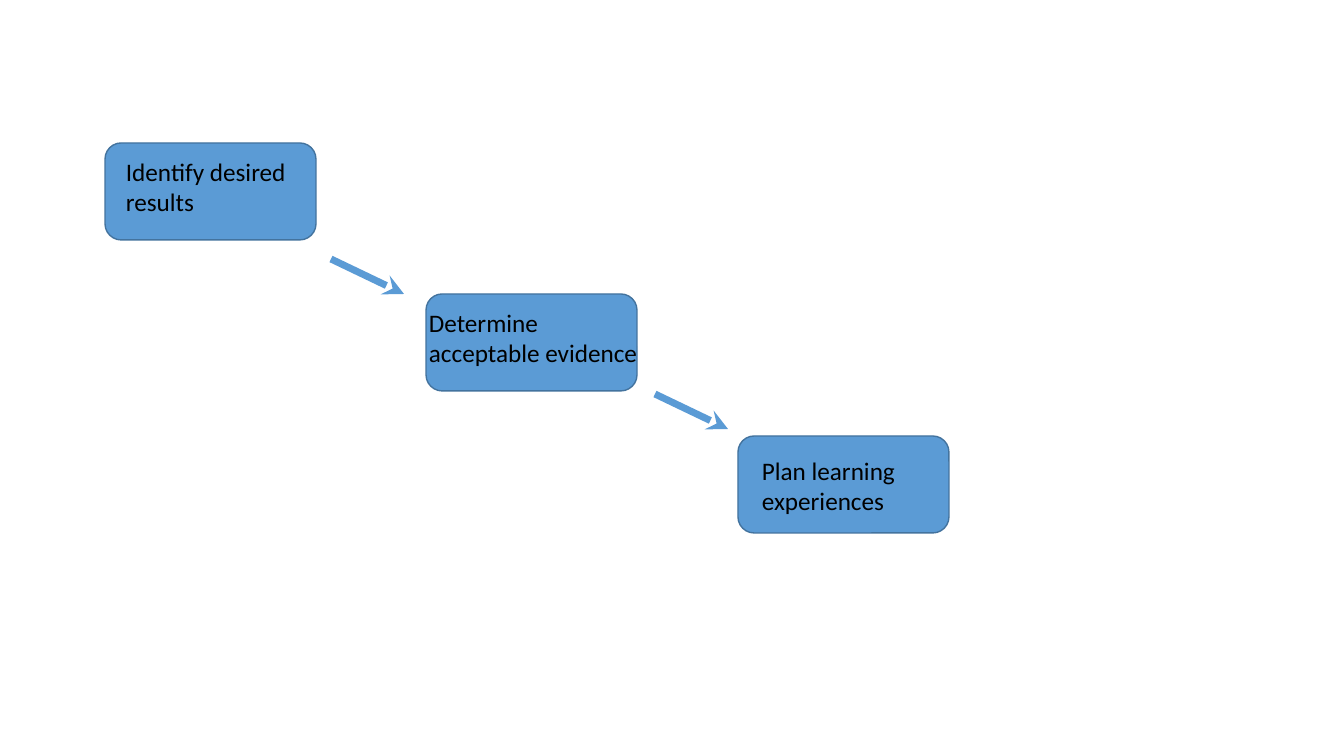
import pptx
import pptx.util
import pptx.dml.color
import pptx.enum.shapes
import pptx.enum.text
import pptx.oxml.ns
import lxml.etree

BLUE = pptx.dml.color.RGBColor(0x5B, 0x9B, 0xD5)
EDGE = pptx.dml.color.RGBColor(0x43, 0x73, 0x9E)
BLACK = pptx.dml.color.RGBColor(0, 0, 0)
SCALE = 914400 / 100.8


def emu(*sizes):
    return [pptx.util.Emu(round(size * SCALE)) for size in sizes]


class Deck:
    font = "Calibri"
    size = pptx.util.Pt(18)

    def __init__(self, wide, high):
        self.show = pptx.Presentation()
        self.show.slide_width, self.show.slide_height = emu(wide, high)
        self.slide = self.show.slides.add_slide(self.show.slide_layouts[6])

    def box(self, left, top, wide, high):
        kind = pptx.enum.shapes.MSO_SHAPE.ROUNDED_RECTANGLE
        shape = self.slide.shapes.add_shape(kind, *emu(left, top, wide, high))
        shape.shadow.inherit = False
        shape.fill.solid()
        shape.fill.fore_color.rgb = BLUE
        shape.line.color.rgb = EDGE
        shape.line.width = pptx.util.Pt(1)

    def text(self, left, top, wide, high, lines):
        frame = self.slide.shapes.add_textbox(*emu(left, top, wide, high)).text_frame
        frame.word_wrap = True
        frame.auto_size = pptx.enum.text.MSO_AUTO_SIZE.SHAPE_TO_FIT_TEXT
        for index, line in enumerate(lines):
            para = frame.add_paragraph() if index else frame.paragraphs[0]
            run = para.add_run()
            run.text = line
            run.font.name = self.font
            run.font.size = self.size
            run.font.color.rgb = BLACK

    def arrow(self, left, top, right, low):
        kind = pptx.enum.shapes.MSO_CONNECTOR.STRAIGHT
        link = self.slide.shapes.add_connector(kind, *emu(left, top, right, low))
        link.line.color.rgb = BLUE
        link.line.width = pptx.util.Pt(5)
        name = pptx.oxml.ns.qn
        lxml.etree.SubElement(link.line._get_or_add_ln(), name("a:tailEnd"), type="stealth")
        lxml.etree.SubElement(link._element.spPr, name("a:effectLst"))


STEPS = [
    ((105, 143), (116, 151, 258), ["Identify desired", "results"]),
    ((426, 294), (419, 302, 301), ["Determine", "acceptable evidence"]),
    ((738, 436), (752, 450, 196), ["Plan learning experiences"]),
]

deck = Deck(1344, 756)
for spot, _, _ in STEPS:
    deck.box(*spot, 211, 97)
for _, area, lines in STEPS:
    deck.text(*area, 72, lines)
for left, top in [(331, 259), (655, 394)]:
    deck.arrow(left, top, left + 73, top + 35)
deck.show.save("out.pptx")
